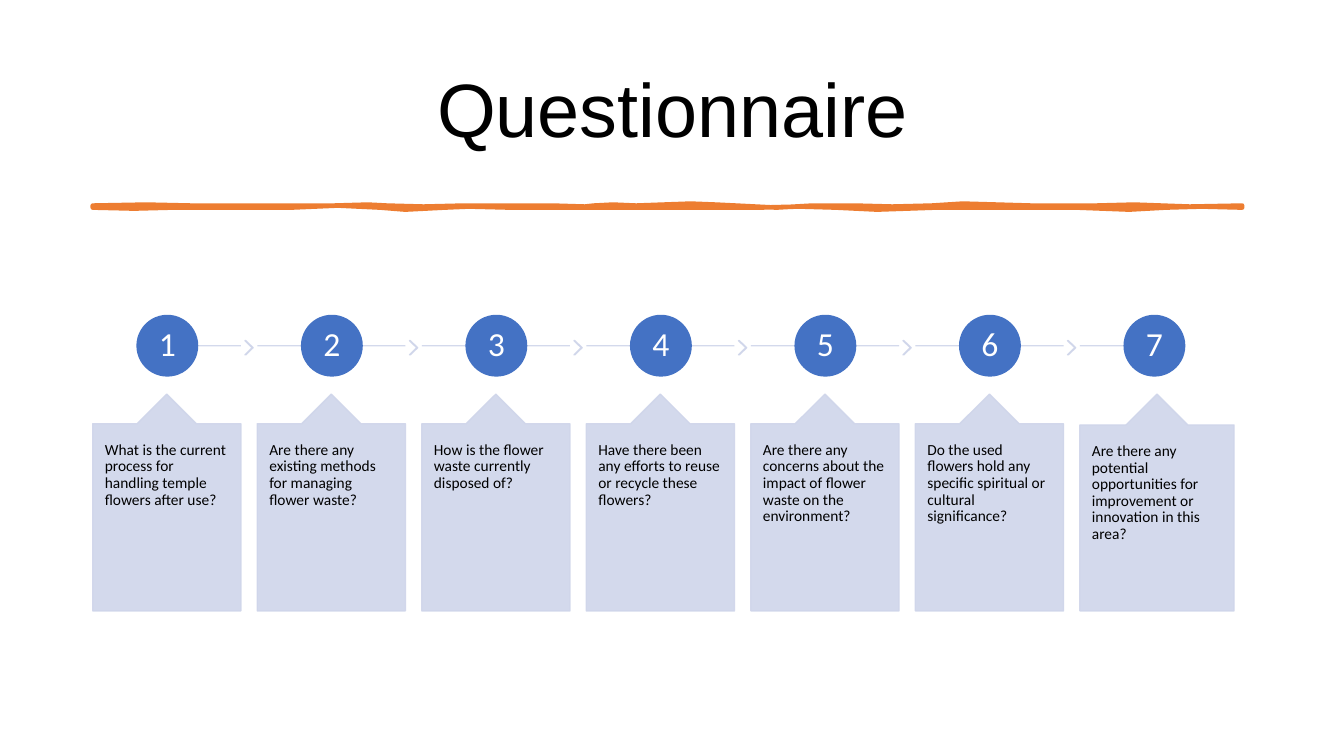
from lxml.etree import SubElement
from pptx import Presentation
from pptx.dml.color import RGBColor
from pptx.enum.shapes import MSO_CONNECTOR, MSO_SHAPE
from pptx.enum.text import MSO_ANCHOR, PP_ALIGN
from pptx.oxml.ns import qn
from pptx.util import Inches, Pt

BLACK = RGBColor(0x00, 0x00, 0x00)
WHITE = RGBColor(0xFF, 0xFF, 0xFF)
ORANGE = RGBColor(0xED, 0x7D, 0x31)
BLUE = RGBColor(0x44, 0x72, 0xC4)
PALE = RGBColor(0xCF, 0xD5, 0xEA)

QUESTIONS = [
    "What is the current process for handling temple flowers after use?",
    "Are there any existing methods for managing flower waste?",
    "How is the flower waste currently disposed of?",
    "Have there been any efforts to reuse or recycle these flowers?",
    "Are there any concerns about the impact of flower waste on the environment?",
    "Do the used flowers hold any specific spiritual or cultural significance?",
    "Are there any potential opportunities for improvement or innovation in this area?",
]

LEFT, RIGHT = 0.92, 12.32
PITCH = (10.71 - LEFT) / 6
CARD_W, LAST_CARD_W = 1.47, 1.53
CENTRE = 0.74
CIRCLE = 0.6
LINE_Y = 3.43

# Points along the brush stroke, top edge rightwards and bottom edge leftwards
BRUSH = [
    (LEFT, 2.04), (1.45, 2.03), (1.9, 2.04), (2.44, 2.04), (3.31, 2.04), (3.65, 2.03),
    (3.84, 2.04), (4.2, 2.05), (4.6, 2.04), (5.48, 2.04), (5.8, 2.05), (5.89, 2.04),
    (6.08, 2.03), (6.31, 2.04), (6.85, 2.02), (7.1, 2.03), (7.3, 2.04), (7.7, 2.06),
    (8.06, 2.04), (8.27, 2.04), (8.48, 2.04), (8.85, 2.05), (9.24, 2.04), (9.55, 2.02),
    (10.23, 2.04), (10.87, 2.04), (11.25, 2.03), (11.52, 2.04), (11.8, 2.05), (RIGHT, 2.04),
    (RIGHT, 2.06), (11.92, 2.05), (11.56, 2.06), (11.2, 2.08), (10.68, 2.06),
    (9.81, 2.06), (9.28, 2.06), (8.7, 2.08), (8.29, 2.06), (7.93, 2.05), (7.53, 2.06),
    (7.11, 2.06), (6.35, 2.06), (5.7, 2.06), (5.06, 2.06), (4.65, 2.05), (4.41, 2.06),
    (4.02, 2.08), (3.77, 2.06), (3.35, 2.04), (2.89, 2.06), (2.5, 2.06), (2.13, 2.06),
    (1.71, 2.06), (1.33, 2.07), (LEFT, 2.06),
]


def style(sp, color, width, alpha=None):
    """Colour the line and any fill alike, remove the shadow, set opacity in percent."""
    sp.line.color.rgb = color
    sp.line.width = Pt(width)
    if hasattr(sp, "fill"):
        sp.fill.solid()
        sp.fill.fore_color.rgb = color
        sp.shadow.inherit = False
    else:
        SubElement(sp._element.spPr, qn("a:effectLst"))
    if alpha:
        for clr in sp._element.spPr.iter(qn("a:srgbClr")):
            SubElement(clr, qn("a:alpha")).set("val", str(alpha * 1000))


def write(sp, text, size, font, color, align, anchor, inset_x, inset_y):
    tf = sp.text_frame
    tf.word_wrap = True
    tf.vertical_anchor = anchor
    tf.margin_left = tf.margin_right = Inches(inset_x)
    tf.margin_top = tf.margin_bottom = Inches(inset_y)
    p = tf.paragraphs[0]
    p.alignment = align
    p.line_spacing = 0.9
    r = p.add_run()
    r.text = text
    r.font.size = Pt(size)
    r.font.name = font
    r.font.color.rgb = color


prs = Presentation()
prs.slide_width, prs.slide_height = Inches(13.33), Inches(7.5)
s = prs.slides.add_slide(prs.slide_layouts[6])

title = s.shapes.add_textbox(Inches(0.92), Inches(0.4), Inches(11.5), Inches(1.45))
write(title, "Questionnaire", 54, "Arial", BLACK,
      PP_ALIGN.CENTER, MSO_ANCHOR.MIDDLE, 0.1, 0.05)

outline = [(Inches(x), Inches(y)) for x, y in BRUSH]
brush = s.shapes.build_freeform(*outline[0])
brush.add_line_segments(outline[1:], close=True)
style(brush.convert_to_shape(), ORANGE, 3.25)

for i, question in enumerate(QUESTIONS):
    x = LEFT + i * PITCH
    first, last = i == 0, i == len(QUESTIONS) - 1
    card_w = LAST_CARD_W if last else CARD_W

    start = x + CENTRE + 0.08 if first else x
    end = x + CENTRE if last else x + CARD_W
    line = s.shapes.add_connector(MSO_CONNECTOR.STRAIGHT, Inches(start), Inches(LINE_Y),
                                  Inches(end), Inches(LINE_Y))
    style(line, PALE, 1, 90)

    if not last:
        chevron = s.shapes.add_shape(MSO_SHAPE.CHEVRON, Inches(x + 1.51), Inches(3.38),
                                     Inches(0.08), Inches(0.14))
        chevron.adjustments[0] = 0.9
        style(chevron, PALE, 1, 90)

    circle = s.shapes.add_shape(MSO_SHAPE.OVAL, Inches(x + CENTRE - CIRCLE / 2),
                                Inches(LINE_Y - CIRCLE / 2), Inches(CIRCLE), Inches(CIRCLE))
    style(circle, BLUE, 1)
    write(circle, str(i + 1), 24, "Calibri", WHITE,
          PP_ALIGN.CENTER, MSO_ANCHOR.MIDDLE, 0.02, 0.02)

    card = s.shapes.add_shape(MSO_SHAPE.UP_ARROW_CALLOUT, Inches(x), Inches(3.91),
                              Inches(card_w), Inches(2.15))
    for n, value in enumerate((0.5, 0.2, 0.2, 1)):
        card.adjustments[n] = value
    style(card, PALE, 1, 90)
    write(card, question, 11, "Calibri", BLACK,
          PP_ALIGN.LEFT, MSO_ANCHOR.TOP, 0.12, 0.18)

prs.save("out.pptx")
